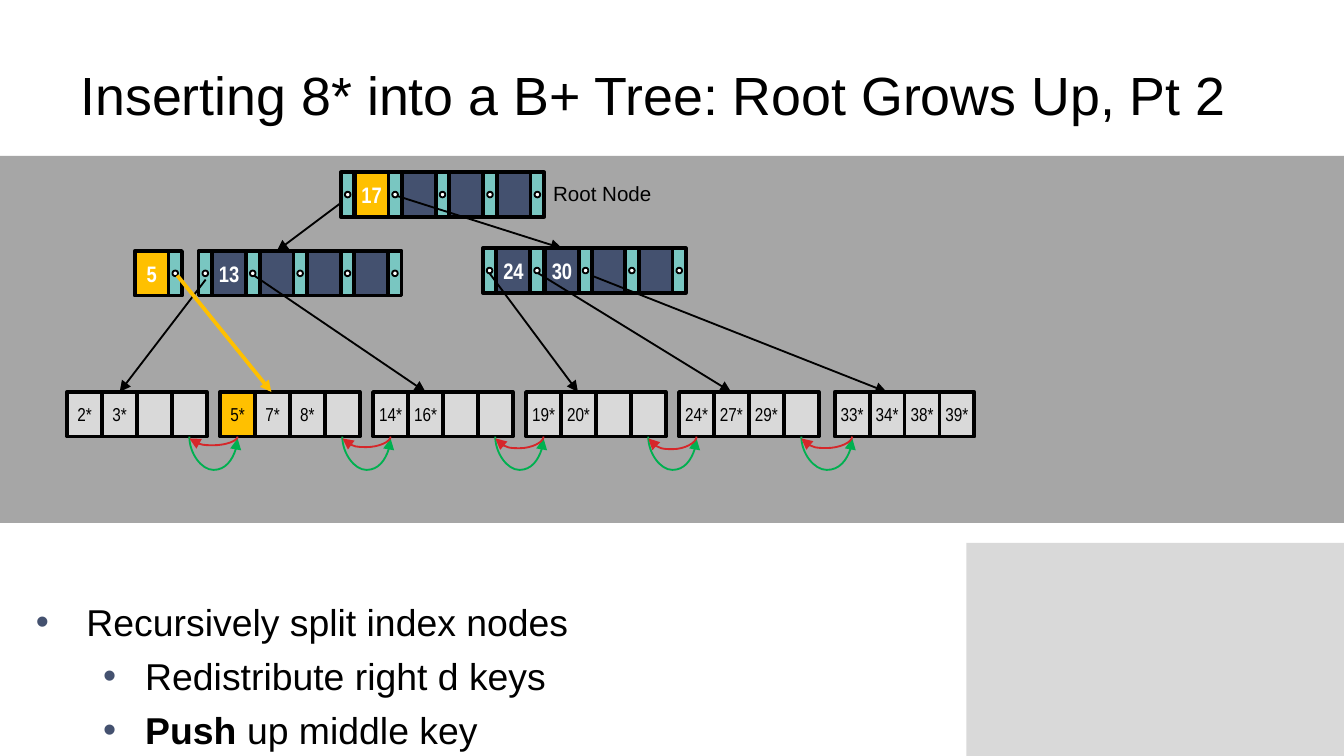
from dataclasses import dataclass

import lxml.etree
import pptx
import pptx.dml.color
import pptx.enum.shapes
import pptx.enum.text
import pptx.oxml.ns
import pptx.util

Pt = pptx.util.Pt
qn = pptx.oxml.ns.qn
SHAPE = pptx.enum.shapes.MSO_SHAPE
LINK = pptx.enum.shapes.MSO_CONNECTOR
ANCHOR = pptx.enum.text.MSO_ANCHOR

COLORS = {
    "black": "000000", "white": "FFFFFF", "band": "A6A6A6", "pale": "D9D9D9",
    "key": "44516F", "pointer": "79C6C1", "highlight": "FFC000",
    "next": "00B050", "previous": "D6272A",
}
CELL_HEIGHT = 23.9
KEY_WIDTH, POINTER_WIDTH, KEY_PITCH = 18.1, 7.2, 25.4
DOT = 3
LEAF_WIDTH, LEAF_TOP, LEAF_PITCH = 18.7, 210, 81.95
LEAF_BOTTOM = LEAF_TOP + CELL_HEIGHT


@dataclass
class IndexNode:
    left: float
    top: float
    keys: list[str]
    leading_pointer: bool = True
    highlight: str = "none"


@dataclass
class Leaf:
    left: float
    entries: list[str]


@dataclass
class Arrow:
    start: tuple[float, float]
    end: tuple[float, float]
    color: str = "black"
    width: float = 1


def rgb(name: str) -> pptx.dml.color.RGBColor:
    return pptx.dml.color.RGBColor.from_string(COLORS[name])


def set_font(paragraph, size: float, color: str = "black", name: str = "Arial") -> None:
    paragraph.font.size = Pt(size)
    paragraph.font.name = name
    paragraph.font.color.rgb = rgb(color)


def draw_shape(slide, kind, left: float, top: float, width: float, height: float,
               fill: str, line_width: float = 0):
    shape = slide.shapes.add_shape(kind, Pt(left), Pt(top), Pt(width), Pt(height))
    shape.shadow.inherit = False
    shape.fill.solid()
    shape.fill.fore_color.rgb = rgb(fill)
    if line_width:
        shape.line.color.rgb = rgb("black")
        shape.line.width = Pt(line_width)
    else:
        shape.line.fill.background()
    return shape


def draw_cell(slide, left: float, top: float, width: float, fill: str,
              label: str = "", size: float = 10, color: str = "black", bold: bool = False) -> None:
    cell = draw_shape(slide, SHAPE.RECTANGLE, left, top, width, CELL_HEIGHT, fill, 2)
    if label:
        frame = cell.text_frame
        frame.margin_left = frame.margin_right = 0
        frame.vertical_anchor = ANCHOR.MIDDLE
        entry = frame.paragraphs[0]
        entry.text = label
        entry.alignment = pptx.enum.text.PP_ALIGN.CENTER
        set_font(entry, size, color, "Arial Narrow")
        entry.font.bold = bold


def draw_pointer(slide, left: float, top: float) -> None:
    draw_cell(slide, left, top, POINTER_WIDTH, "pointer")
    draw_shape(slide, SHAPE.OVAL, left + (POINTER_WIDTH - DOT) / 2,
               top + (CELL_HEIGHT - DOT) / 2, DOT, DOT, "white", 1)


def draw_index_node(slide, node: IndexNode) -> None:
    """Draw keys, each followed by its pointer; left is the first cell drawn."""
    first_key = node.left
    if node.leading_pointer:
        draw_pointer(slide, node.left, node.top)
        first_key += KEY_PITCH - KEY_WIDTH
    for index, key in enumerate(node.keys):
        left = first_key + index * KEY_PITCH
        fill = "highlight" if key == node.highlight else "key"
        draw_cell(slide, left, node.top, KEY_WIDTH, fill, key, 12, "white", True)
        draw_pointer(slide, left + KEY_WIDTH, node.top)


def draw_leaf(slide, leaf: Leaf) -> None:
    for index, entry in enumerate(leaf.entries):
        fill = "highlight" if entry == "5*" else "pale"
        draw_cell(slide, leaf.left + index * LEAF_WIDTH, LEAF_TOP, LEAF_WIDTH, fill, entry)


def draw_arrow(slide, arrow: Arrow, kind=LINK.STRAIGHT):
    (x1, y1), (x2, y2) = arrow.start, arrow.end
    connector = slide.shapes.add_connector(kind, Pt(x1), Pt(y1), Pt(x2), Pt(y2))
    connector.line.color.rgb = rgb(arrow.color)
    connector.line.width = Pt(arrow.width)
    properties = connector._element.spPr
    lxml.etree.SubElement(properties.find(qn("a:ln")), qn("a:tailEnd"), type="triangle")
    lxml.etree.SubElement(properties, qn("a:effectLst"))
    return connector


def draw_sibling_link(slide, x1: float, x2: float, depth: float, color: str) -> None:
    """Hang a curve below the leaves: a connector 1 pt wide, turned on its side."""
    span, middle = abs(x2 - x1), (x1 + x2) / 2
    left, top = middle - 0.5, LEAF_BOTTOM + 0.5 - span / 2
    link = draw_arrow(slide, Arrow((left, top), (left + 1, top + span), color), LINK.CURVE)
    properties = link._element.spPr
    frame = properties.find(qn("a:xfrm"))
    frame.set("rot", "16200000" if x1 < x2 else "5400000")
    if x1 < x2:
        frame.set("flipH", "1")
    geometry = properties.find(qn("a:prstGeom"))
    adjustments = geometry.find(qn("a:avLst"))
    if adjustments is None:
        adjustments = lxml.etree.SubElement(geometry, qn("a:avLst"))
    lxml.etree.SubElement(adjustments, qn("a:gd"), name="adj1",
                          fmla=f"val {round(depth * 100000)}")


def add_text_frame(slide, left: float, top: float, width: float, height: float, wrap: bool = True):
    frame = slide.shapes.add_textbox(Pt(left), Pt(top), Pt(width), Pt(height)).text_frame
    frame.word_wrap = wrap
    return frame


def add_bullet(paragraph, margin: float, indent: float) -> None:
    properties = paragraph._p.get_or_add_pPr()
    properties.set("marL", str(Pt(margin)))
    properties.set("indent", str(Pt(-indent)))
    bullet_color = lxml.etree.SubElement(properties, qn("a:buClr"))
    lxml.etree.SubElement(bullet_color, qn("a:srgbClr"), val=COLORS["key"])
    lxml.etree.SubElement(properties, qn("a:buFont"), typeface="Arial")
    lxml.etree.SubElement(properties, qn("a:buChar"), char="•")


def draw_text(slide) -> None:
    title_frame = add_text_frame(slide, 36, 16.5, 648, 67.5)
    title_frame.vertical_anchor = ANCHOR.MIDDLE
    title = title_frame.paragraphs[0]
    title.text = "Inserting 8* into a B+ Tree: Root Grows Up, Pt 2"
    set_font(title, 28.8)

    steps = add_text_frame(slide, 12.2, 317.5, 500, 87)
    outline = [(0, ["Recursively split index nodes"]), (1, ["Redistribute right d keys"]),
               (1, ["Push ", "up middle key"])]
    for index, (level, parts) in enumerate(outline):
        step = steps.add_paragraph() if index else steps.paragraphs[0]
        step.level = level
        if index:
            step.space_before = Pt(5)
        add_bullet(step, *((58.5, 22.5) if level else (27, 27)))
        set_font(step, 20)
        for part in parts:
            run = step.add_run()
            run.text = part
            if part == "Push ":
                run.font.bold = True

    root_label = add_text_frame(slide, 289.2, 93.5, 68.4, 20.6, wrap=False).paragraphs[0]
    root_label.text = "Root Node"
    set_font(root_label, 11)


def main() -> None:
    deck = pptx.Presentation()
    deck.slide_width, deck.slide_height = Pt(720), Pt(405)
    slide = deck.slides.add_slide(deck.slide_layouts[6])
    draw_shape(slide, SHAPE.RECTANGLE, 517.7, 290.9, 202.3, 114.1, "pale")
    draw_shape(slide, SHAPE.RECTANGLE, 0, 83.5, 720, 196.6, "band")
    draw_text(slide)

    draw_index_node(slide, IndexNode(106.4, 134.5, ["13", "", "", ""]))
    draw_index_node(slide, IndexNode(258.7, 133, ["24"]))
    draw_index_node(slide, IndexNode(316.8, 133, ["", ""], leading_pointer=False))
    entries = [["2*", "3*", "", ""], ["5*", "7*", "8*", ""], ["14*", "16*", "", ""],
               ["19*", "20*", "", ""], ["24*", "27*", "29*", ""], ["33*", "34*", "38*", "39*"]]
    leaves = [Leaf(36 + index * LEAF_PITCH, row) for index, row in enumerate(entries)]
    leaves[-1].left = 447.2
    for leaf in leaves:
        draw_leaf(slide, leaf)

    for arrow in [Arrow((110.2, 149.8), (64.1, LEAF_TOP)), Arrow((136.1, 147.6), (228, LEAF_TOP)),
                  Arrow((262.1, 146.2), (309.6, LEAF_TOP)), Arrow((313.2, 146.2), (475, LEAF_TOP)),
                  Arrow((186.5, 105.8), (148.3, 134.5))]:
        draw_arrow(slide, arrow)
    for leaf, sibling, depth in zip(leaves, leaves[1:], [4.7, 5.7, 6.3, 6.8, 6.2]):
        last, first = leaf.left + 3.5 * LEAF_WIDTH, sibling.left + LEAF_WIDTH / 2
        draw_sibling_link(slide, last, first, 18, "next")
        draw_sibling_link(slide, first, last, depth, "previous")

    draw_index_node(slide, IndexNode(182.7, 92.3, ["17", "", "", ""], highlight="17"))
    draw_index_node(slide, IndexNode(72.2, 134.5, ["5"], leading_pointer=False, highlight="5"))
    draw_arrow(slide, Arrow((95, 147.6), (145.4, LEAF_TOP), "highlight", 2))
    draw_arrow(slide, Arrow((213.1, 105.1), (301, 133)))
    draw_index_node(slide, IndexNode(292, 133, ["30"], leading_pointer=False))
    draw_arrow(slide, Arrow((288, 146.2), (391.7, LEAF_TOP)))
    deck.save("out.pptx")


if __name__ == "__main__":
    main()
